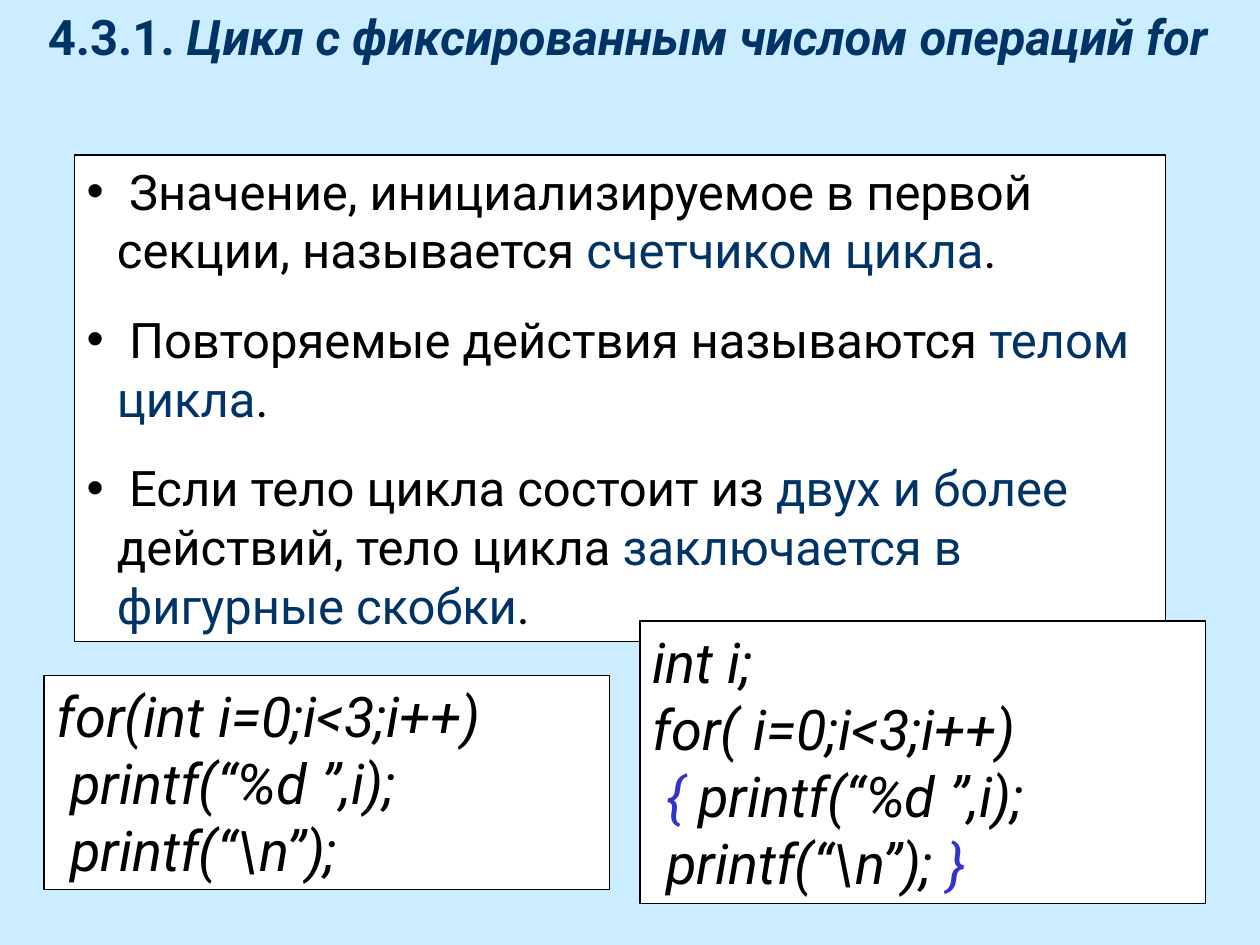
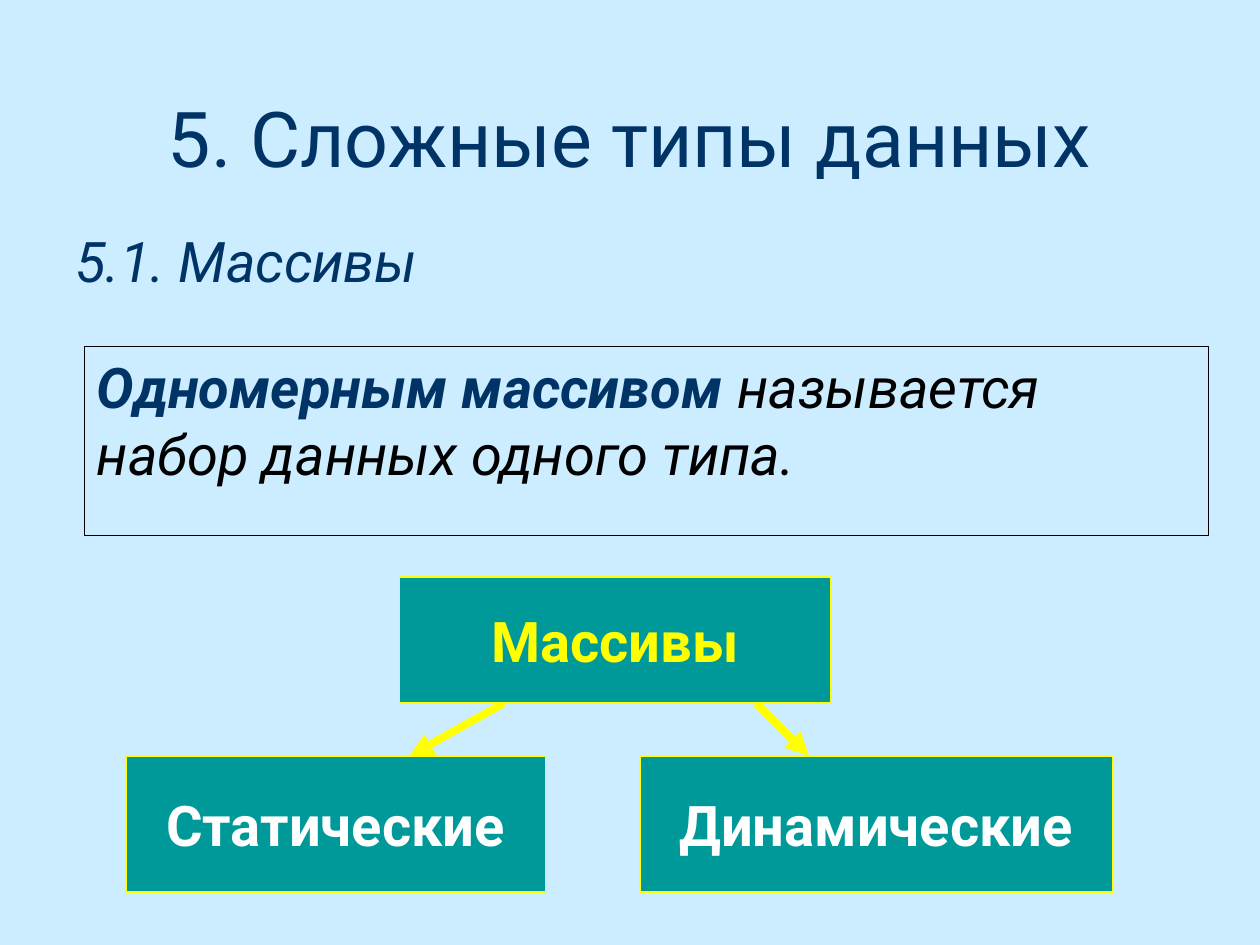
from lxml import etree
from pptx import Presentation
from pptx.dml.color import RGBColor
from pptx.enum import shapes, text
from pptx.oxml.ns import qn
from pptx.util import Inches, Pt

FONT = "Roboto"
SKY, NAVY, BLACK, WHITE = "CCECFF", "003366", "000000", "FFFFFF"
BLUE, TEAL, YELLOW = "3333CC", "009999", "FFFF00"
BULLET_INDENT = 0.24

LOOP_TITLE = [("4.3.1. ", NAVY), ("Цикл с фиксированным числом операций for", NAVY, "italic")]
LOOP_RULES = [
    [(" Значение, инициализируемое в первой секции, называется ", BLACK),
     ("счетчиком цикла", NAVY), (".", BLACK)],
    [(" Повторяемые действия называются ", BLACK), ("телом цикла", NAVY), (".", BLACK)],
    [(" Если тело цикла состоит из ", BLACK), ("двух и более", NAVY),
     (" действий, тело цикла ", BLACK), ("заключается в фигурные скобки", NAVY), (".", BLACK)],
]
CODE_BOXES = [
    ((0.35, 5.36, 4.49, 1.7), [
        [("for(int i=0;i<3;i++)", BLACK)],
        [(" printf(“%d ”,i);", BLACK)],
        [(" printf(“\\n”);", BLACK)],
    ]),
    ((5.08, 4.93, 4.49, 2.24), [
        [("int i;", BLACK)],
        [("for( i=0;i<3;i++)", BLACK)],
        [(" { ", BLUE), ("printf(“%d ”,i);", BLACK)],
        [(" printf(“\\n”); ", BLACK), ("}", BLUE)],
    ]),
]

ARRAYS_TITLE = [("5. Сложные типы данных", NAVY)]
ARRAYS_SUBTITLE = [("5.1. Массивы", NAVY)]
ARRAY_DEFINITION = [("Одномерным массивом ", NAVY, "bold"),
                    ("называется набор данных одного типа.", BLACK)]
ARRAY_KINDS = [
    ("Массивы", YELLOW, (3.17, 4.58, 3.42, 1)),
    ("Статические", WHITE, (1, 6, 3.33, 1.08)),
    ("Динамические", WHITE, (5.08, 6, 3.75, 1.08)),
]
ARROWS = [((6, 5.58), (6.42, 6)), ((4, 5.58), (3.25, 6))]


def color(value):
    return RGBColor.from_string(value)


def inches(values):
    return [Inches(value) for value in values]


def add_bullet(paragraph):
    properties = paragraph._p.get_or_add_pPr()
    properties.set("marL", str(Inches(BULLET_INDENT)))
    properties.set("indent", str(-Inches(BULLET_INDENT)))
    bullet_color = etree.SubElement(properties, qn("a:buClr"))
    etree.SubElement(bullet_color, qn("a:srgbClr"), val=BLACK)
    etree.SubElement(properties, qn("a:buFont"), typeface="Arial")
    etree.SubElement(properties, qn("a:buChar"), char="•")


def write(shape, paragraphs, size=32, bold=False, italic=False, before=0,
          align=text.PP_ALIGN.LEFT, anchor=text.MSO_ANCHOR.TOP, bullets=False, wrap=True):
    frame = shape.text_frame
    frame.auto_size = text.MSO_AUTO_SIZE.NONE
    frame.word_wrap = wrap
    frame.vertical_anchor = anchor
    for number, runs in enumerate(paragraphs):
        paragraph = frame.add_paragraph() if number else frame.paragraphs[0]
        if bullets:
            add_bullet(paragraph)
        paragraph.alignment = align
        paragraph.space_before = Pt(before)
        font = paragraph.font
        font.name, font.size, font.bold, font.italic = FONT, Pt(size), bold, italic
        for content, run_color, *emphasis in runs:
            run = paragraph.add_run()
            run.text = content
            run.font.color.rgb = color(run_color)
            for name in emphasis:
                setattr(run.font, name, True)


def add_slide(presentation, title, box, **style):
    slide = presentation.slides.add_slide(presentation.slide_layouts[5])
    shape = slide.shapes.title
    shape.left, shape.top, shape.width, shape.height = inches(box)
    write(shape, [title], align=text.PP_ALIGN.CENTER, **style)
    return slide


def add_box(slide, box, fill=None, line=BLACK):
    shape = slide.shapes.add_shape(shapes.MSO_SHAPE.RECTANGLE, *inches(box))
    shape.shadow.inherit = False
    if fill:
        shape.fill.solid()
        shape.fill.fore_color.rgb = color(fill)
    else:
        shape.fill.background()
    shape.line.color.rgb = color(line)
    shape.line.width = Pt(0.75)
    return shape


def add_arrow(slide, start, end):
    arrow = slide.shapes.add_connector(shapes.MSO_CONNECTOR.STRAIGHT, *inches(start + end))
    arrow.line.color.rgb = color(YELLOW)
    arrow.line.width = Pt(4.5)
    etree.SubElement(arrow.line._get_or_add_ln(), qn("a:tailEnd"), type="triangle")
    etree.SubElement(arrow._element.spPr, qn("a:effectLst"))


def build_loop_slide(presentation):
    slide = add_slide(presentation, LOOP_TITLE, (0.24, 0, 9.48, 1.04), size=28, bold=True)
    rules = add_box(slide, (0.59, 1.23, 8.66, 3.86), WHITE)
    write(rules, LOOP_RULES, size=28, before=17.5, bullets=True)
    for box, lines in CODE_BOXES:
        write(add_box(slide, box, WHITE), lines, italic=True)


def build_arrays_slide(presentation):
    slide = add_slide(presentation, ARRAYS_TITLE, (0.5, 0.42, 9, 1.33), size=44,
                      anchor=text.MSO_ANCHOR.MIDDLE)
    for start, end in ARROWS:
        add_arrow(slide, start, end)
    subtitle = slide.shapes.add_textbox(*inches((0.5, 1.75, 9, 0.92)))
    write(subtitle, [ARRAYS_SUBTITLE], italic=True, before=8)
    definition = add_box(slide, (0.67, 2.75, 8.92, 1.5))
    write(definition, [ARRAY_DEFINITION], italic=True, before=8)
    for name, name_color, box in ARRAY_KINDS:
        write(add_box(slide, box, TEAL, YELLOW), [[(name, name_color)]], bold=True, before=8,
              align=text.PP_ALIGN.CENTER, anchor=text.MSO_ANCHOR.MIDDLE, wrap=False)


def main():
    presentation = Presentation()
    presentation.slide_width, presentation.slide_height = inches((10, 7.5))
    background = presentation.slide_master.background.fill
    background.solid()
    background.fore_color.rgb = color(SKY)
    build_loop_slide(presentation)
    build_arrays_slide(presentation)
    presentation.save("out.pptx")


if __name__ == "__main__":
    main()
